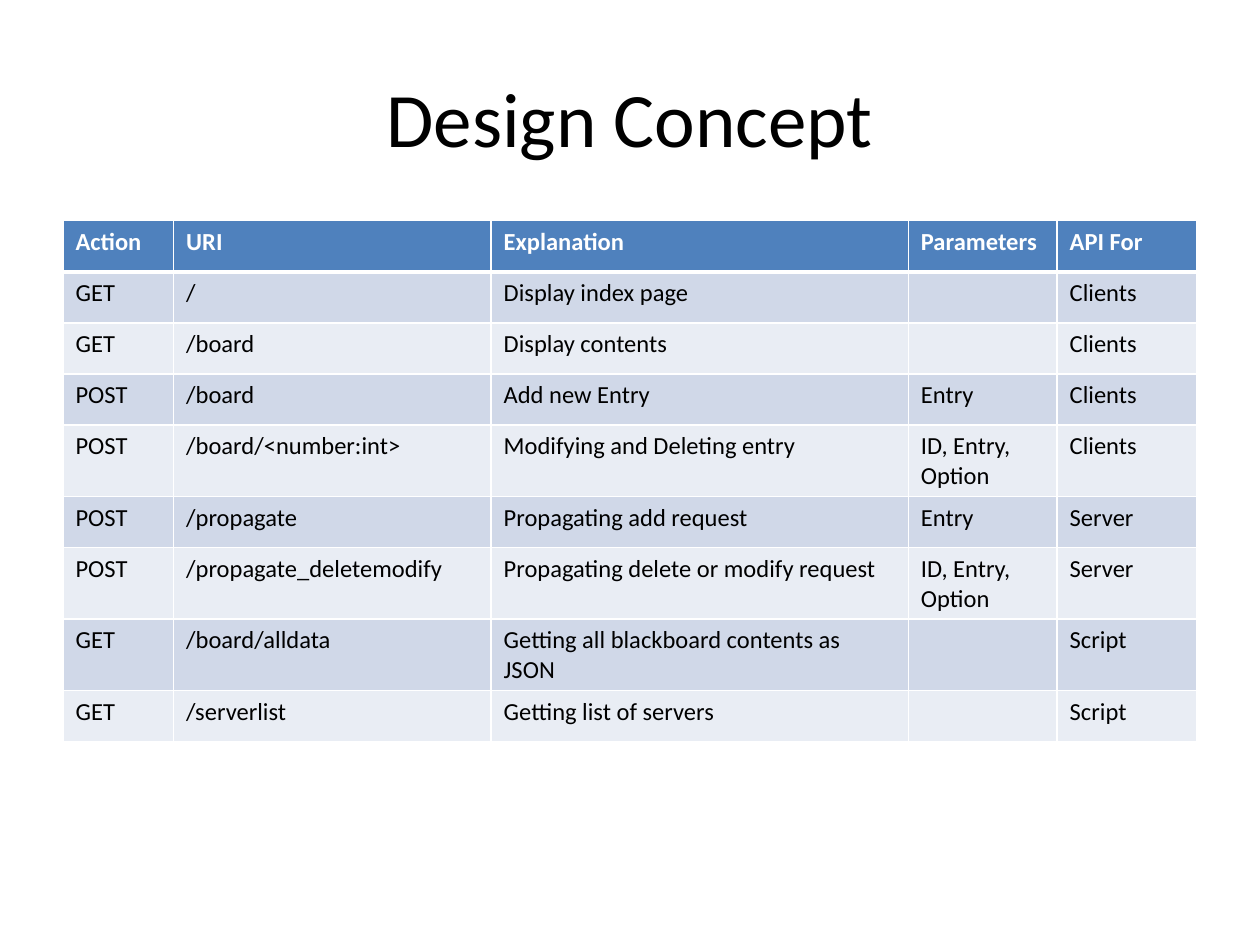
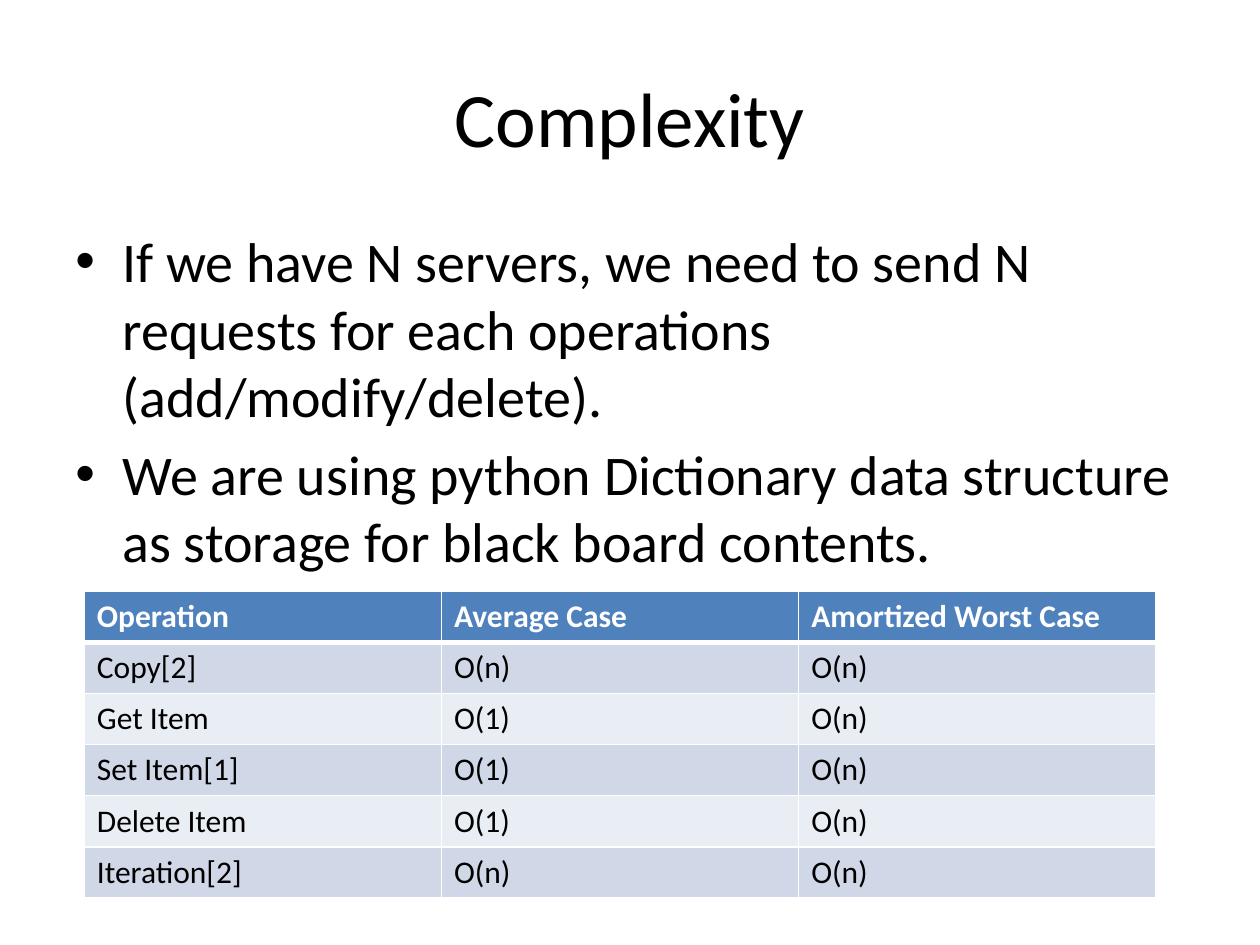
from dataclasses import dataclass

from lxml.etree import SubElement
from pptx import Presentation
from pptx.dml.color import RGBColor
from pptx.enum.text import MSO_ANCHOR as Anchor, PP_ALIGN as Align
from pptx.oxml.ns import qn
from pptx.util import Cm, Pt


@dataclass(frozen=True)
class Theme:
    font: str = "Calibri"
    text: str = "000000"
    header_text: str = "FFFFFF"
    header_fill: str = "4F81BD"
    bands: tuple = ("D0D8E8", "E9EDF4")
    border: str = "FFFFFF"
    thin: float = 1
    thick: float = 3
    title_size: int = 44
    body_size: int = 32
    small_table_size: int = 14
    table_size: int = 18


THEME = Theme()
MARGIN = Cm(1.27)
CONTENT_WIDTH = Cm(22.86)
CONTENT_TOP = Cm(4.45)
ROW_HEIGHT = Cm(1.03)

API_COLUMNS = (2.23, 6.4, 8.41, 3, 2.82)
API_ROWS = (
    ("Action", "URI", "Explanation", "Parameters", "API For"),
    ("GET", "/", "Display index page", "", "Clients"),
    ("GET", "/board", "Display contents", "", "Clients"),
    ("POST", "/board", "Add new Entry", "Entry", "Clients"),
    ("POST", "/board/<number:int>", "Modifying and Deleting entry",
     "ID, Entry, Option", "Clients"),
    ("POST", "/propagate", "Propagating add request", "Entry", "Server"),
    ("POST", "/propagate_deletemodify", "Propagating delete or modify request",
     "ID, Entry, Option", "Server"),
    ("GET", "/board/alldata", "Getting all blackboard contents as JSON", "", "Script"),
    ("GET", "/serverlist", "Getting list of servers", "", "Script"),
)

COMPLEXITY_COLUMNS = (7.2,) * 3
COMPLEXITY_ROWS = (
    ("Operation", "Average Case", "Amortized Worst Case"),
    ("Copy[2]", "O(n)", "O(n)"),
    ("Get Item", "O(1)", "O(n)"),
    ("Set Item[1]", "O(1)", "O(n)"),
    ("Delete Item", "O(1)", "O(n)"),
    ("Iteration[2]", "O(n)", "O(n)"),
)
COMPLEXITY_POINTS = (
    "If we have N servers, we need to send N requests for each operations "
    "(add/modify/delete).",
    "We are using python Dictionary data structure as storage for black board contents.",
)


def style_text(para, size, color=THEME.text, bold=False):
    for span in para.runs:
        span.font.name = THEME.font
        span.font.size = Pt(size)
        span.font.bold = bold
        span.font.color.rgb = RGBColor.from_string(color)


def add_text_frame(page, top, height):
    box = page.shapes.add_textbox(MARGIN, top, CONTENT_WIDTH, height)
    box.text_frame.word_wrap = True
    return box.text_frame


def add_page(deck, title):
    """Add a blank page with a centred title."""
    page = deck.slides.add_slide(deck.slide_layouts[6])
    frame = add_text_frame(page, Cm(0.76), Cm(3.18))
    frame.vertical_anchor = Anchor.MIDDLE
    frame.text = title
    para = frame.paragraphs[0]
    para.alignment = Align.CENTER
    style_text(para, THEME.title_size)
    return page


def add_bullets(page, points):
    frame = add_text_frame(page, CONTENT_TOP, Cm(12.57))
    frame.text = "\n".join(points)
    for para in frame.paragraphs:
        para.space_before = Pt(0.2 * THEME.body_size)
        style_text(para, THEME.body_size)
        props = para._p.get_or_add_pPr()
        props.set("marL", str(Cm(0.95)))
        props.set("indent", str(-Cm(0.95)))
        SubElement(props, qn("a:buFont"), typeface="Arial")
        SubElement(props, qn("a:buChar"), char="•")


def set_borders(cell, top, bottom):
    """Draw thin sides and the given top and bottom widths, before any fill."""
    props = cell._tc.get_or_add_tcPr()
    widths = {"L": THEME.thin, "R": THEME.thin, "T": top, "B": bottom}
    for side, width in widths.items():
        line = SubElement(props, qn(f"a:ln{side}"), w=str(Pt(width)))
        fill = SubElement(line, qn("a:solidFill"))
        SubElement(fill, qn("a:srgbClr"), val=THEME.border)


def style_cell(cell, row_index, size, anchor):
    is_header = row_index == 0
    set_borders(cell,
                top=THEME.thick if row_index == 1 else THEME.thin,
                bottom=THEME.thick if is_header else THEME.thin)
    fill = THEME.header_fill if is_header else THEME.bands[(row_index - 1) % 2]
    cell.fill.solid()
    cell.fill.fore_color.rgb = RGBColor.from_string(fill)
    cell.vertical_anchor = anchor
    color = THEME.header_text if is_header else THEME.text
    style_text(cell.text_frame.paragraphs[0], size, color, bold=is_header)


def add_banded_table(page, left, top, columns, rows, size, anchor=Anchor.TOP):
    table = page.shapes.add_table(
        len(rows), len(columns), left, top,
        Cm(sum(columns)), ROW_HEIGHT * len(rows)).table
    for column, width in zip(table.columns, columns):
        column.width = Cm(width)
    for row_index, texts in enumerate(rows):
        table.rows[row_index].height = ROW_HEIGHT
        for column_index, text in enumerate(texts):
            cell = table.cell(row_index, column_index)
            cell.text_frame.text = text
            style_cell(cell, row_index, size, anchor)


def main():
    deck = Presentation()
    deck.slide_width, deck.slide_height = Cm(25.4), Cm(19.05)

    design = add_page(deck, "Design Concept")
    add_banded_table(design, MARGIN, CONTENT_TOP, API_COLUMNS, API_ROWS,
                     THEME.small_table_size)

    complexity = add_page(deck, "Complexity")
    add_bullets(complexity, COMPLEXITY_POINTS)
    add_banded_table(complexity, Cm(1.7), Cm(11.92), COMPLEXITY_COLUMNS,
                     COMPLEXITY_ROWS, THEME.table_size, Anchor.MIDDLE)

    deck.save("out.pptx")


if __name__ == "__main__":
    main()
